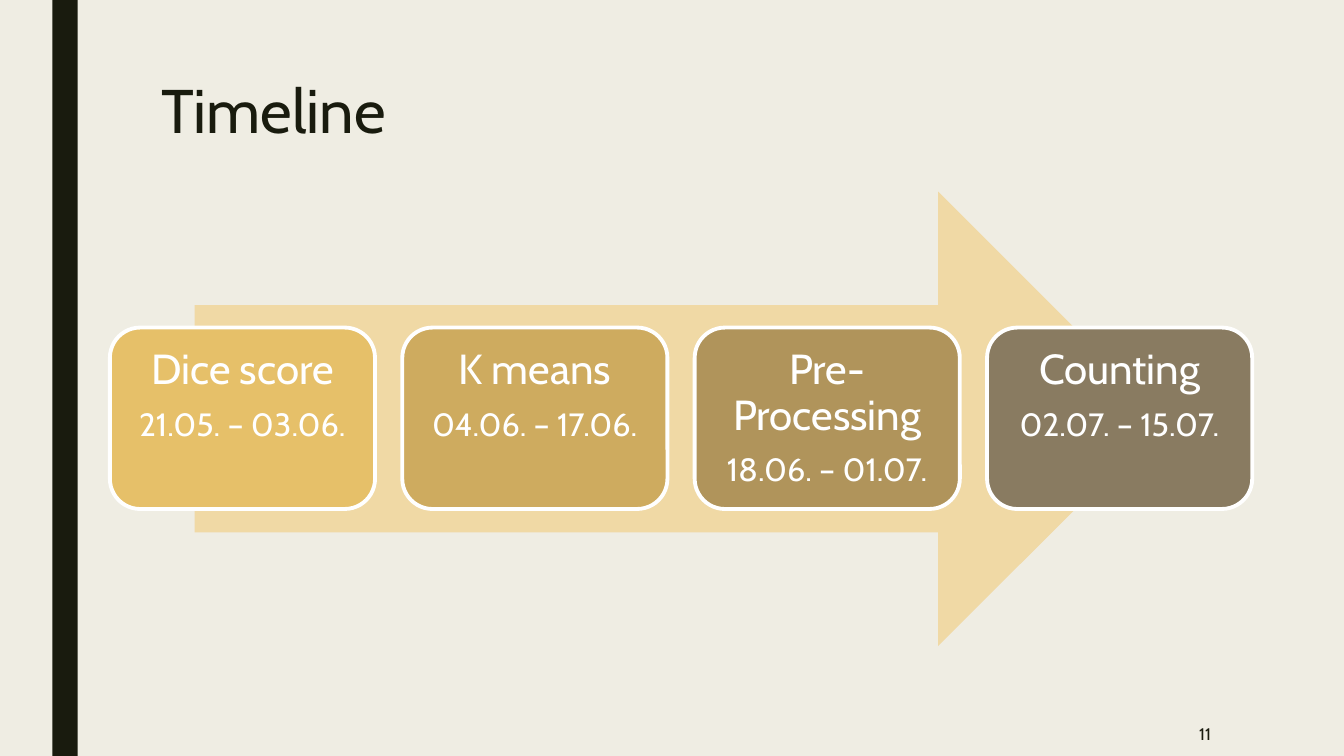
from pptx import Presentation
from pptx.dml.color import RGBColor
from pptx.enum.shapes import MSO_SHAPE
from pptx.enum.text import MSO_ANCHOR, PP_ALIGN
from pptx.util import Inches, Pt

TITLE = "Timeline"
PAGE_NUMBER = "11"
PHASES = [
    ("Dice score", "21.05. – 03.06.", "sand"),
    ("K means", "04.06. – 17.06.", "ochre"),
    ("Pre-Processing", "18.06. – 01.07.", "bronze"),
    ("Counting", "02.07. – 15.07.", "taupe"),
]
COLORS = {
    "background": "EFEDE3", "ink": "191B0E", "arrow": "F0D9A5", "white": "FFFFFF",
    "sand": "E6C069", "ochre": "CEAB5F", "bronze": "B0945B", "taupe": "897B61",
}
FONT = "Cabin"
CARD_LEFT, CARD_TOP, CARD_WIDTH, CARD_HEIGHT = 1.09, 3.25, 2.63, 1.8
CARD_PITCH = 2.9
CARD_INSET = 0.12


def color(name):
    return RGBColor.from_string(COLORS[name])


def add_shape(slide, preset, left, top, width, height, fill):
    shape = slide.shapes.add_shape(
        preset, Inches(left), Inches(top), Inches(width), Inches(height))
    shape.shadow.inherit = False
    shape.fill.solid()
    shape.fill.fore_color.rgb = color(fill)
    shape.line.fill.background()
    return shape


def write(paragraph, text, size, ink, align, spacing=1.0):
    paragraph.alignment = align
    paragraph.line_spacing = spacing
    run = paragraph.add_run()
    run.text = text
    run.font.size = Pt(size)
    run.font.name = FONT
    run.font.color.rgb = color(ink)


def add_phase(slide, index, name, dates, fill):
    card = add_shape(slide, MSO_SHAPE.ROUNDED_RECTANGLE, CARD_LEFT + index * CARD_PITCH,
                     CARD_TOP, CARD_WIDTH, CARD_HEIGHT, fill)
    card.line.color.rgb = color("white")
    card.line.width = Pt(2.75)
    frame = card.text_frame
    frame.word_wrap = True
    frame.vertical_anchor = MSO_ANCHOR.TOP
    frame.margin_left = frame.margin_right = Inches(CARD_INSET)
    frame.margin_top = frame.margin_bottom = Inches(CARD_INSET)
    heading = frame.paragraphs[0]
    write(heading, name, 30, "white", PP_ALIGN.CENTER, 0.9)
    heading.space_after = Pt(10.5)
    write(frame.add_paragraph(), dates, 23, "white", PP_ALIGN.CENTER, 0.9)


def main():
    deck = Presentation()
    deck.slide_width, deck.slide_height = Inches(13.33), Inches(7.5)
    slide = deck.slides.add_slide(deck.slide_layouts[5])
    slide.background.fill.solid()
    slide.background.fill.fore_color.rgb = color("background")

    add_shape(slide, MSO_SHAPE.RECTANGLE, 0.52, 0, 0.25, 7.5, "ink")

    title = slide.shapes.title
    title.left, title.top = Inches(1.5), Inches(0.75)
    title.width, title.height = Inches(10.5), Inches(1.62)
    title.text_frame.vertical_anchor = MSO_ANCHOR.TOP
    write(title.text_frame.paragraphs[0], TITLE, 44, "ink", PP_ALIGN.LEFT, 0.89)

    add_shape(slide, MSO_SHAPE.RIGHT_ARROW, 1.93, 1.9, 9.63, 4.51, "arrow")
    for index, phase in enumerate(PHASES):
        add_phase(slide, index, *phase)

    page = slide.shapes.add_textbox(Inches(10.36), Inches(7.06), Inches(1.75), Inches(0.44))
    page.text_frame.word_wrap = True
    page.text_frame.vertical_anchor = MSO_ANCHOR.MIDDLE
    write(page.text_frame.paragraphs[0], PAGE_NUMBER, 12, "ink", PP_ALIGN.RIGHT)

    deck.save("out.pptx")


if __name__ == "__main__":
    main()
